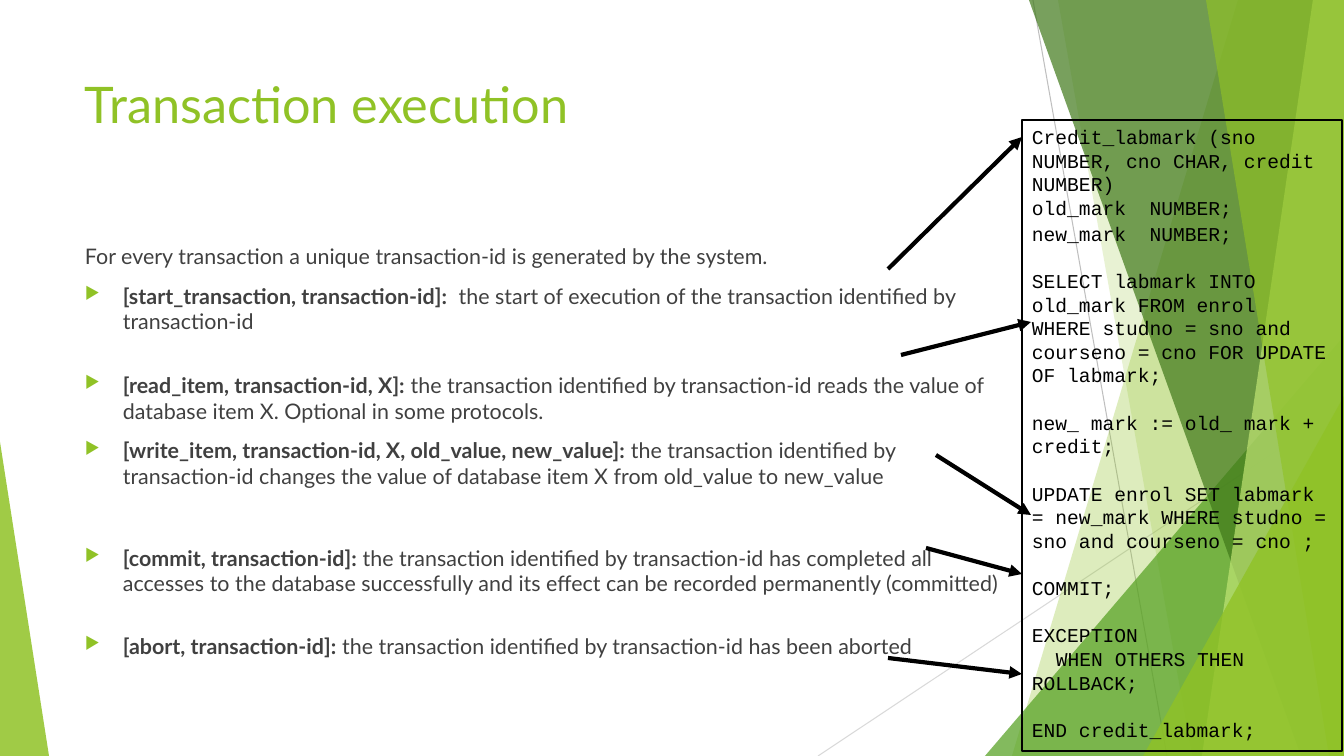
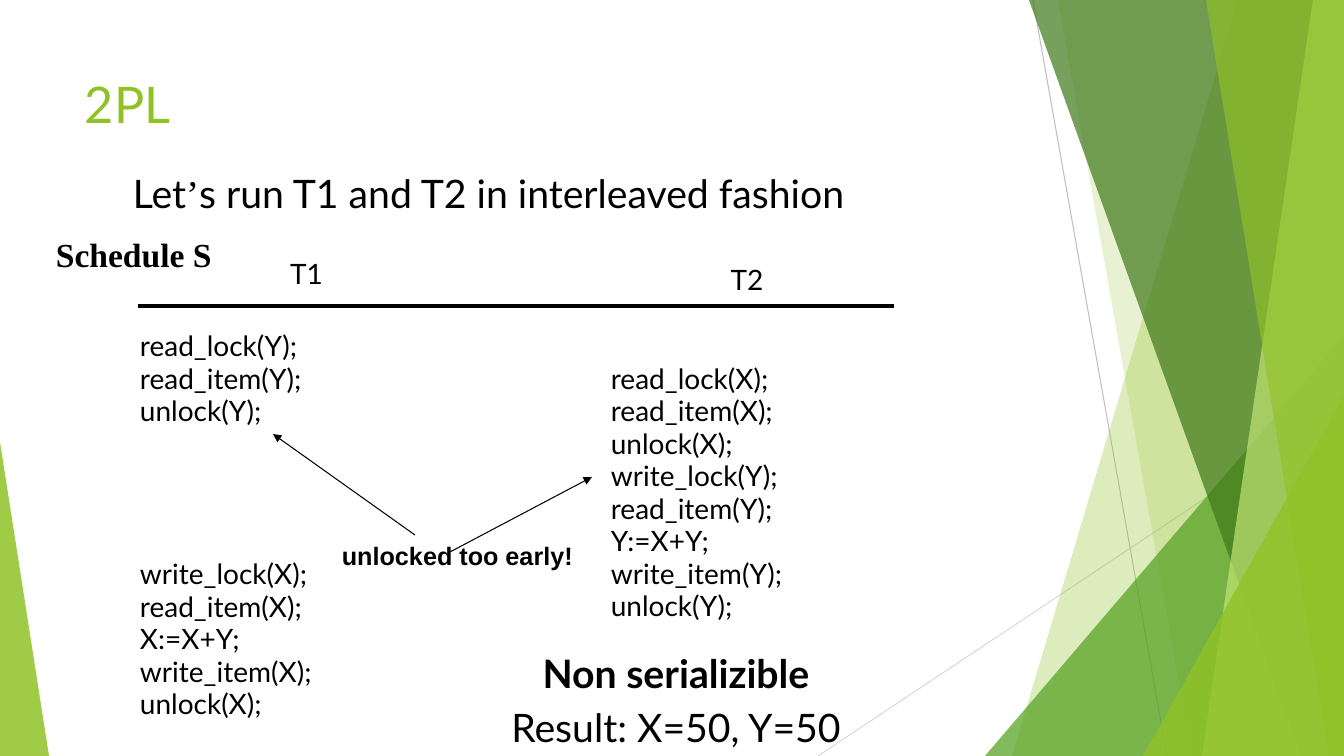
import lxml.etree
import pptx
import pptx.dml.color
import pptx.enum.shapes
import pptx.enum.text
import pptx.oxml.ns
import pptx.util

WIDTH, HEIGHT = 1344, 756
PX = 12192000 / WIDTH
GREEN, BLACK, GREY = "90C226", "000000", "404040"
CENTER = pptx.enum.text.PP_ALIGN.CENTER
Pt = pptx.util.Pt
qn = pptx.oxml.ns.qn
colour = pptx.dml.color.RGBColor.from_string


def write(slide, place, lines, font, hue=BLACK, **spacing):
    box = slide.shapes.add_textbox(*[round(length * PX) for length in place])
    frame = box.text_frame
    frame.word_wrap = True
    for number, (runs, changes) in enumerate(lines):
        paragraph = frame.paragraphs[0] if number == 0 else frame.add_paragraph()
        for name, value in {**spacing, **changes}.items():
            setattr(paragraph, name, value)
        for text, style in runs:
            run = paragraph.add_run()
            run.text = text
            run.font.color.rgb = colour(hue)
            for name, value in {**font, **style}.items():
                setattr(run.font, name, value)
    return box


def connect(slide, ends, hue, points, arrow=False):
    line = slide.shapes.add_connector(
        pptx.enum.shapes.MSO_CONNECTOR.STRAIGHT, *[round(length * PX) for length in ends])
    line.line.color.rgb = colour(hue)
    line.line.width = Pt(points)
    properties = line._element.spPr
    if arrow:
        lxml.etree.SubElement(properties.find(qn("a:ln")), qn("a:tailEnd"), type="triangle")
    lxml.etree.SubElement(properties, qn("a:effectLst"))


facets = [
    (GREEN, 30, 1238, 1012),
    (GREEN, 20, 1058, 1192),
    ("54A021", 72, 985, 336, 359, 420, 1),
    ("3F7819", 70, 1029, 1301),
    ("C0E474", 70, 1313, 1202),
    (GREEN, 65, 1206, 1329),
    (GREEN, 80, 1143, 396, 201, 360, 1),
    (GREEN, 85, 0, 442, 49, 314, 0),
]

deck = pptx.Presentation()
deck.slide_width, deck.slide_height = round(WIDTH * PX), round(HEIGHT * PX)
slides = []
for title in ("Transaction execution", "2PL"):
    slide = deck.slides.add_slide(deck.slide_layouts[6])
    connect(slide, (1033, 0, 1167, HEIGHT), "BFBFBF", 0.75)
    connect(slide, (WIDTH, 406, 818, HEIGHT), "D9D9D9", 0.75)
    for hue, opacity, *place in facets:
        if len(place) == 2:
            top, bottom = place
            outline = slide.shapes.build_freeform(top, 0, scale=PX)
            outline.add_line_segments([(WIDTH, 0), (WIDTH, HEIGHT), (bottom, HEIGHT)])
            facet = outline.convert_to_shape()
        else:
            *frame, apex = place
            facet = slide.shapes.add_shape(
                pptx.enum.shapes.MSO_SHAPE.ISOSCELES_TRIANGLE,
                *[round(length * PX) for length in frame])
            facet.adjustments[0] = apex
        facet.shadow.inherit = False
        facet.line.fill.background()
        facet.fill.solid()
        facet.fill.fore_color.rgb = colour(hue)
        tint = facet._element.spPr.find(qn("a:solidFill"))[0]
        lxml.etree.SubElement(tint, qn("a:alpha"), val=str(opacity * 1000))
    write(slide, (75, 68, 948, 145), [([(title, {})], {})],
          {"name": "Lato", "size": Pt(36)}, GREEN)
    slides.append(slide)
execution, locking = slides

operations = [
    ("[start_transaction, transaction-id]:",
     "  the start of execution of the transaction identified by transaction-id", 10),
    ("[read_item, transaction-id, X]:",
     " the transaction identified by transaction-id reads the value of database item X. "
     "Optional in some protocols.", 27),
    ("[write_item, transaction-id, X, old_value, new_value]:",
     " the transaction identified by transaction-id changes the value of database item X "
     "from old_value to new_value", 10),
    ("[commit, transaction-id]:",
     " the transaction identified by transaction-id has completed all accesses to the "
     "database successfully and its effect can be recorded permanently (committed)", 40),
    ("[abort, transaction-id]:",
     " the transaction identified by transaction-id has been aborted", 26),
]
intro = "For every transaction a unique transaction-id is generated by the system."
explanation = [([(intro, {})], {})] + [
    ([(operation, {"bold": True}), (meaning, {})], {"space_before": Pt(gap)})
    for operation, meaning, gap in operations]
body = write(execution, (75, 238, 948, 427), explanation,
             {"name": "Lato", "size": Pt(15.3)}, GREY)
for paragraph in body.text_frame.paragraphs[1:]:
    properties = paragraph._p.get_or_add_pPr()
    properties.set("marL", str(round(38 * PX)))
    properties.set("indent", str(round(-38 * PX)))
    bullet_colour = lxml.etree.SubElement(properties, qn("a:buClr"))
    lxml.etree.SubElement(bullet_colour, qn("a:srgbClr"), val=GREEN)
    lxml.etree.SubElement(properties, qn("a:buSzPct"), val="80000")
    lxml.etree.SubElement(properties, qn("a:buChar"), char="▶")

handler = "WHEN OTHERS THEN ROLLBACK;"
procedure = [
    ("Credit_labmark (sno NUMBER, cno CHAR, credit NUMBER)", 0),
    ("old_mark  NUMBER;", 0),
    ("new_mark  NUMBER;", 2),
    ("SELECT labmark INTO old_mark FROM enrol", 17),
    ("WHERE studno = sno and courseno = cno FOR UPDATE OF labmark;", 0),
    ("new_ mark := old_ mark + credit;", 17),
    ("UPDATE enrol SET labmark = new_mark WHERE studno = sno and courseno = cno ;", 17),
    ("COMMIT;", 17),
    ("EXCEPTION", 17),
    (handler, 0),
    ("END credit_labmark;", 17),
]
code = write(execution, (1022, 120, 320, 631),
             [([(text, {})], {"space_before": Pt(gap)}) for text, gap in procedure],
             {"name": "Courier New", "size": Pt(14)})
code.line.color.rgb = colour(BLACK)
code.line.width = Pt(1)
for paragraph in code.text_frame.paragraphs:
    if paragraph.text == handler:
        paragraph._p.get_or_add_pPr().set("indent", str(round(24 * PX)))

for ends in [(888, 269, 1022, 137), (936, 455, 1031, 515), (901, 355, 1031, 322),
             (926, 548, 1022, 574), (888, 658, 1022, 674)]:
    connect(execution, ends, BLACK, 3, arrow=True)

heading = {"name": "Lato", "size": Pt(28)}
write(locking, (123, 164, 857, 42),
      [([("Let", {}), ("’", {"name": "Times New Roman"}),
         ("s run T1 and T2 in interleaved fashion", {})], {})], heading)

schedules = [
    ("T1", (130, 252, 353, 479), [
        (32, ["read_lock(Y);", "read_item(Y);", "unlock(Y);"]),
        (97, ["write_lock(X);", "read_item(X);", "X:=X+Y;", "write_item(X);", "unlock(X);"])]),
    ("T2", (601, 258, 292, 378), [
        (51, ["read_lock(X);", "read_item(X);", "unlock(X);", "write_lock(Y);",
              "read_item(Y);", "Y:=X+Y;", "write_item(Y);", "unlock(Y);"])]),
]
for transaction, place, blocks in schedules:
    steps = [([(transaction, {})], {"alignment": CENTER})]
    for gap, block in blocks:
        for number, step in enumerate(block):
            steps.append(([(step, {})], {"line_spacing": 0.8,
                                         "space_before": Pt(4 if number else gap)}))
    write(locking, place, steps, {"name": "Lato", "size": Pt(20)})

for ends in [(138, 306, 601, 306), (601, 306, 894, 306)]:
    connect(locking, ends, BLACK, 3)

write(locking, (340, 644, 672, 42),
      [([("Non serializible", {"bold": True})], {}),
       ([("Result: X=50, Y=50", {})], {"space_before": Pt(5)})],
      heading, alignment=CENTER)

for text, place, name, size in [
        ("unlocked too early!", (332, 535, 260, 40), "Arial", 18),
        ("Schedule S", (46, 229, 190, 50), "Times New Roman", 24)]:
    write(locking, place, [([(text, {})], {})],
          {"name": name, "size": Pt(size), "bold": True})

for ends in [(415, 535, 273, 434), (450, 552, 592, 477)]:
    connect(locking, ends, BLACK, 0.75, arrow=True)

deck.save("out.pptx")
